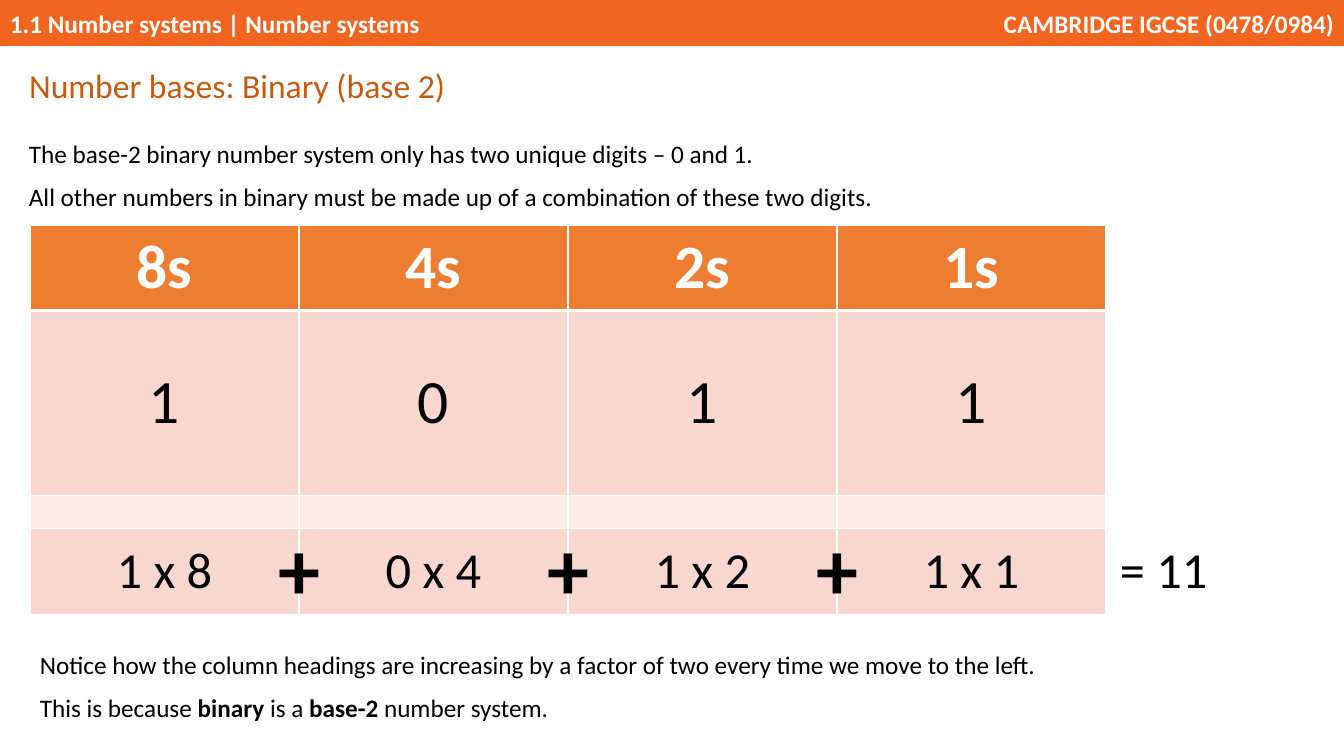
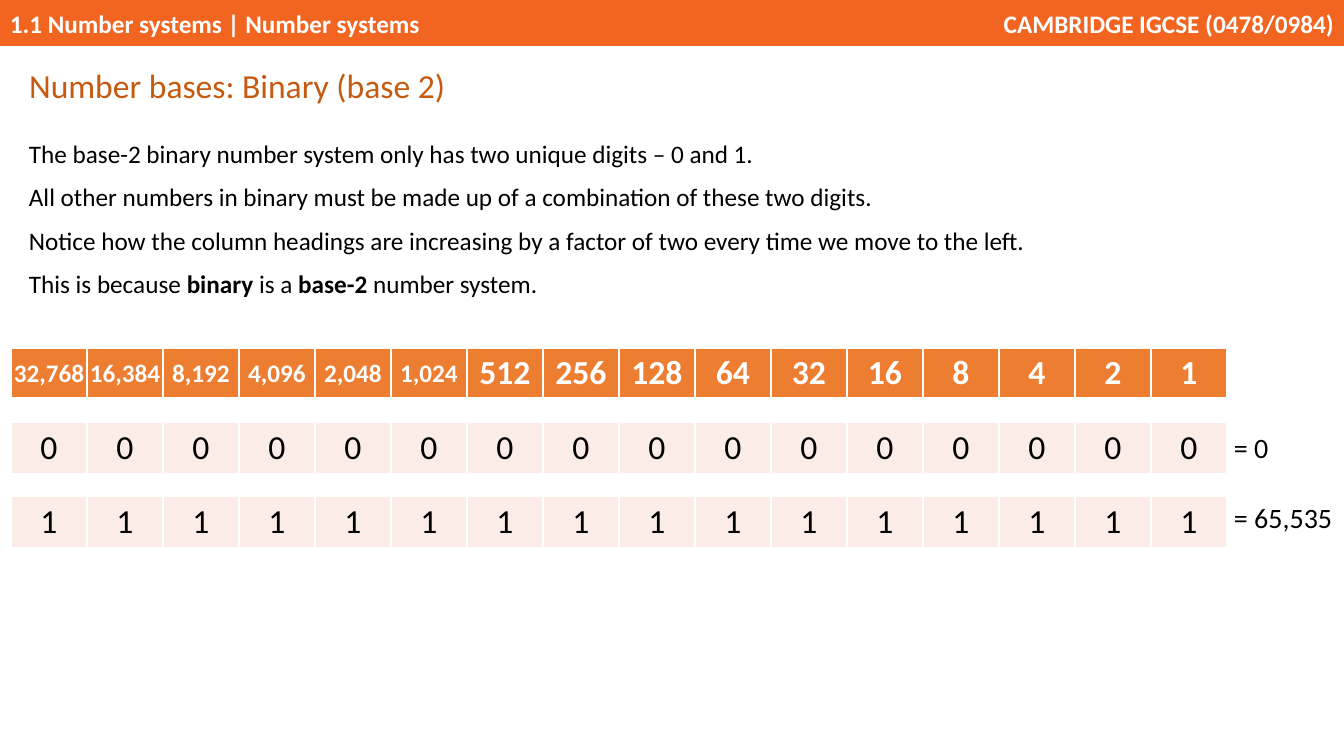
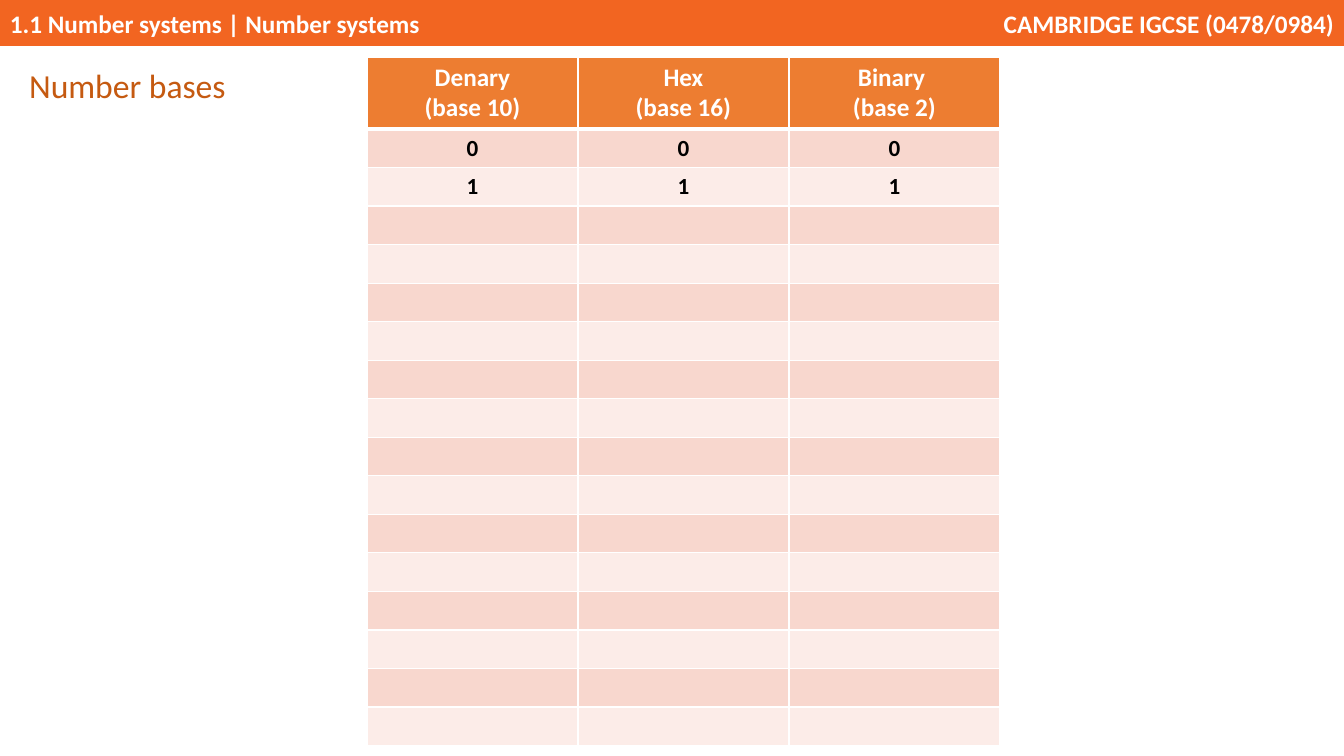
import dataclasses
from typing import Any

import lxml.etree
import pptx
import pptx.dml.color
import pptx.enum.shapes
import pptx.enum.text
import pptx.oxml.ns
import pptx.util

ALIGN = pptx.enum.text.PP_ALIGN
ANCHOR = pptx.enum.text.MSO_ANCHOR
SCALE = 914400 / 100.8
WHITE, BLACK, BAND, TITLE = "FFFFFF", "000000", "F26521", "C55A11"
HEAD, DARK, PALE = "ED7D31", "F8D7CE", "FCECE8"
LOOSE = {"line_spacing": 1.07, "space_after": pptx.util.Pt(8)}
TIGHT = {"line_spacing": 1.0, "space_after": pptx.util.Pt(0)}
SMALL = 7


@dataclasses.dataclass
class Look:
    size: float
    color: str = BLACK
    bold: bool = False
    align: Any = ALIGN.LEFT
    para: dict = dataclasses.field(default_factory=lambda: TIGHT)


@dataclasses.dataclass
class Note:
    text: str
    box: tuple[int, int, int, int]
    look: Look
    wrap: bool = True


@dataclasses.dataclass
class Grid:
    left: int
    top: int
    col: int
    rows: list[float]
    cells: list[list[str]]
    fills: list[str]
    sizes: list[float]
    bold: bool = False
    pad: int = 10


def px(num: float) -> int:
    return round(num * SCALE)


def rgb(code: str) -> pptx.dml.color.RGBColor:
    return pptx.dml.color.RGBColor.from_string(code)


def apply(item: Any, values: dict) -> None:
    for key, val in values.items():
        setattr(item, key, val)


def place(shape: Any, box: tuple[int, int, int, int]) -> None:
    apply(shape, dict(zip(("left", "top", "width", "height"), map(px, box))))


def write(frame: Any, text: str, look: Look) -> None:
    for row, line in enumerate(text.split("\n")):
        para = frame.add_paragraph() if row else frame.paragraphs[0]
        apply(para, {"alignment": look.align, **look.para})
        for part, words in enumerate(line.split("*")):
            if words:
                run = para.add_run()
                run.text = words
                apply(run.font, {
                    "name": "Calibri",
                    "size": pptx.util.Pt(look.size),
                    "bold": look.bold or part % 2 == 1,
                })
                run.font.color.rgb = rgb(look.color)


def setup(frame: Any, wrap: bool, anchor: Any) -> None:
    apply(frame, {
        "word_wrap": wrap,
        "auto_size": pptx.enum.text.MSO_AUTO_SIZE.NONE,
        "vertical_anchor": anchor,
    })


def note(slide: Any, item: Note) -> None:
    shape = slide.shapes.add_textbox(*map(px, item.box))
    setup(shape.text_frame, item.wrap, ANCHOR.TOP)
    write(shape.text_frame, item.text, item.look)


def edge(cell: Any, side: str, width: float) -> None:
    props = cell._tc.get_or_add_tcPr()
    line = lxml.etree.SubElement(
        props, pptx.oxml.ns.qn("a:ln" + side), w=str(pptx.util.Pt(width)))
    solid = lxml.etree.SubElement(line, pptx.oxml.ns.qn("a:solidFill"))
    lxml.etree.SubElement(solid, pptx.oxml.ns.qn("a:srgbClr"), val=WHITE)


def grid(slide: Any, item: Grid) -> Any:
    count = len(item.cells[0])
    table = slide.shapes.add_table(
        len(item.rows), count, px(item.left), px(item.top),
        px(item.col * count), px(sum(item.rows))).table
    table.horz_banding = False
    for col in table.columns:
        col.width = px(item.col)
    for row, high in enumerate(item.rows):
        table.rows[row].height = px(high)
        for col, text in enumerate(item.cells[row]):
            cell = table.cell(row, col)
            thick = {0: "B", 1: "T"}.get(row)
            for side in "LRTB":
                edge(cell, side, 3 if side == thick else 1)
            cell.fill.solid()
            cell.fill.fore_color.rgb = rgb(item.fills[row])
            apply(cell, {
                "vertical_anchor": ANCHOR.MIDDLE,
                "margin_left": px(item.pad),
                "margin_right": px(item.pad),
            })
            size = 18 if "," in text else item.sizes[row]
            write(cell.text_frame, text, Look(
                size, BLACK if row else WHITE,
                item.bold or row == 0, ALIGN.CENTER))
            if not text:
                lxml.etree.SubElement(
                    cell.text_frame.paragraphs[0]._p,
                    pptx.oxml.ns.qn("a:endParaRPr"), sz=str(SMALL * 100))
    return table


def bands(slide: Any, layout: Any) -> None:
    for mark in list(layout.placeholders):
        if mark.placeholder_format.idx:
            layout.shapes.element.remove(mark.element)
    for text, left, width, align in (
        ("1.1 Number systems | Number systems", 0, 1113, ALIGN.LEFT),
        ("CAMBRIDGE IGCSE (0478/0984)", 986, 358, ALIGN.RIGHT),
    ):
        shape = slide.shapes.add_shape(
            pptx.enum.shapes.MSO_SHAPE.RECTANGLE,
            px(left), 0, px(width), px(46))
        shape.shadow.inherit = False
        shape.fill.solid()
        shape.fill.fore_color.rgb = rgb(BAND)
        shape.line.fill.background()
        setup(shape.text_frame, True, ANCHOR.MIDDLE)
        write(shape.text_frame, text, Look(18, WHITE, True, align))
        layout.shapes.element.append(shape.element)


def start(deck: Any, layout: Any, text: str, width: int) -> Any:
    slide = deck.slides.add_slide(layout)
    title = slide.shapes.title
    place(title, (19, 57, width, 51))
    setup(title.text_frame, False, ANCHOR.TOP)
    write(title.text_frame, text, Look(24, TITLE, para=LOOSE))
    return slide


def main() -> None:
    deck = pptx.Presentation()
    deck.slide_width, deck.slide_height = px(1344), px(756)
    layout = deck.slide_layouts[5]
    body = Look(18, para=LOOSE)
    name = "Number bases: Binary (base 2)"
    intro = (
        "The base-2 binary number system only has two unique digits – 0 and 1.\n"
        "All other numbers in binary must be made up of a combination of these two digits.")
    why = (
        "Notice how the column headings are increasing by a factor of two every time we move to the left.\n"
        "This is because *binary* is a *base-2* number system.")

    slide = start(deck, layout, name, 448)
    bands(slide, layout)
    note(slide, Note(intro, (19, 131, 1181, 86), body))
    bits, units = "1011", (8, 4, 2, 1)
    grid(slide, Grid(
        30, 225, 269, [85, 185, 33, 86],
        [[f"{unit}s" for unit in units], list(bits), [""] * 4,
         [f"{bit} x {unit}" for bit, unit in zip(bits, units)]],
        [HEAD, DARK, PALE, DARK], [44, 44, SMALL, 36]))
    for step in range(3):
        note(slide, Note("+", (269 + 269 * step, 512, 62, 112),
                         Look(60, bold=True), False))
    note(slide, Note("= 11", (1110, 533, 216, 72), Look(36)))
    note(slide, Note(why, (30, 642, 1237, 86), body))

    slide = start(deck, layout, name, 448)
    note(slide, Note(intro + "\n" + why, (19, 131, 1181, 218), body))
    gap = [""] * 16
    table = grid(slide, Grid(
        11, 348, 76, [51, 23, 51, 23, 51],
        [[f"{2 ** power:,}" for power in reversed(range(16))],
         gap, ["0"] * 16, gap, ["1"] * 16],
        [HEAD, WHITE, PALE, WHITE, PALE], [24, SMALL, 24, SMALL, 24], pad=0))
    for row, col in ((1, 8), (3, 0), (3, 8)):
        table.cell(row, col).merge(table.cell(row, col + 7))
    for text, top in (("= 0", 426), ("= 65,535", 496)):
        note(slide, Note(text, (1224, top, 120, 44), Look(20), False))

    slide = start(deck, layout, "Number bases", 219)
    grid(slide, Grid(
        367, 57, 211, [72] + [617 / 16] * 16,
        [["Denary\n(base 10)", "Hex\n(base 16)", "Binary \n(base 2)"],
         ["0"] * 3, ["1"] * 3] + [[""] * 3] * 14,
        [HEAD] + [DARK, PALE] * 8, [18] + [16.5] * 16, True))

    deck.save("out.pptx")


if __name__ == "__main__":
    main()
